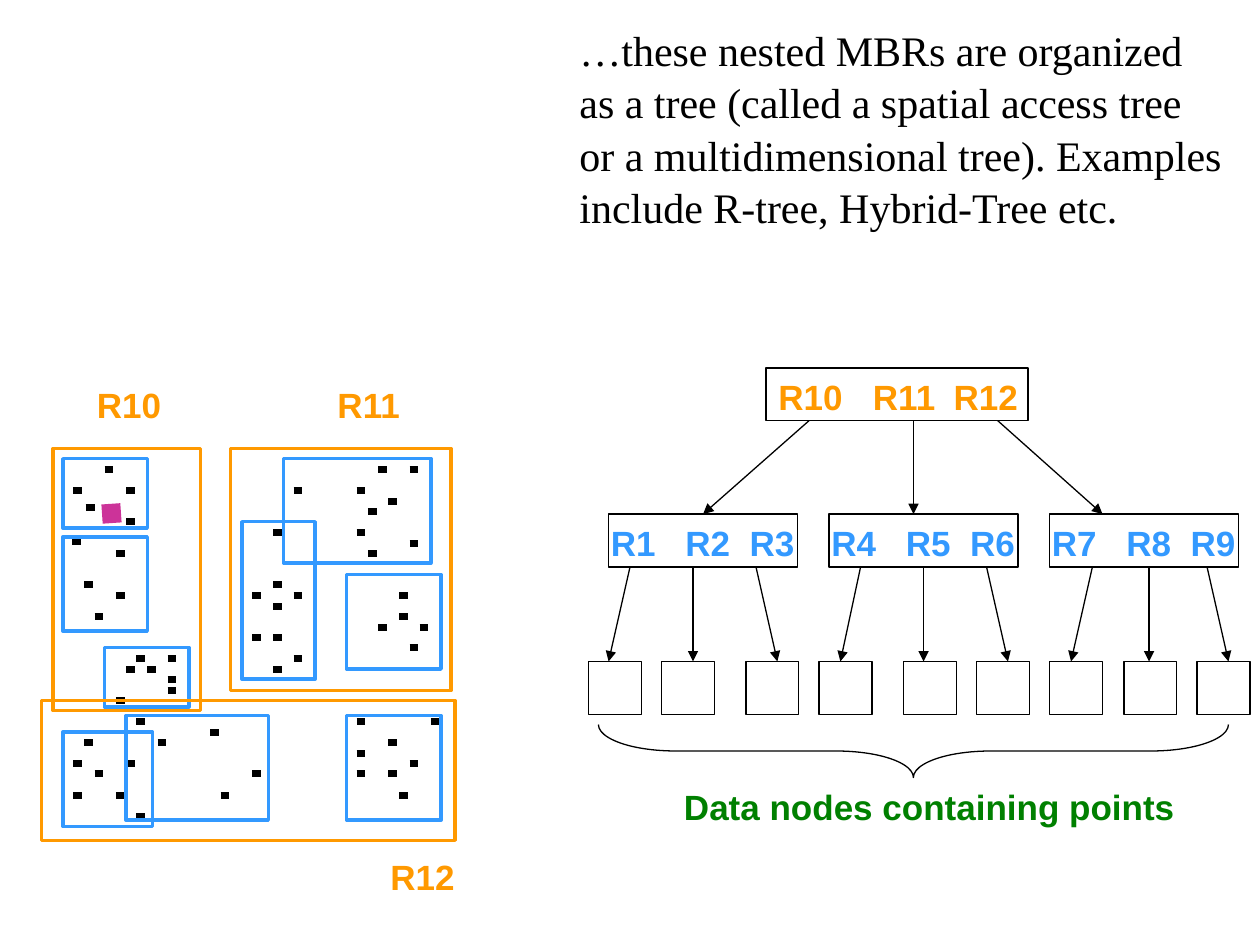
import pptx
import pptx.util
import pptx.dml.color
import pptx.enum.shapes
import pptx.enum.text
import pptx.oxml
import pptx.oxml.ns

PX = 9144  # 100 px to the inch
SHAPES = pptx.enum.shapes.MSO_SHAPE
BLACK, BLUE, ORANGE, GREEN, MAGENTA = "000000", "3399FF", "FF9900", "008000", "CC3399"

STATEMENT = ("…these nested MBRs are organized as a tree (called a spatial access tree "
             "or a multidimensional tree). Examples include R-tree, Hybrid-Tree etc.")
CAPTION = "Data nodes containing points"

# Tree: boxes as left edges, arrows as (start x, end x)
ROOT_NAMES = ["R10", "R11", "R12"]
BRANCH_NAMES = [["R1", "R2", "R3"], ["R4", "R5", "R6"], ["R7", "R8", "R9"]]
BRANCH_LEFT, BRANCH_STEP, BOX_HEIGHT = 483, 175, 42
LEAF_LEFTS = [467, 525, 592, 650, 717, 775, 833, 892, 950]
ROOT_ARROWS = [(642, 558), (725, 725), (792, 875)]
BRANCH_ARROWS = [(500, 483), (550, 550), (600, 617), (683, 667), (733, 733),
                 (783, 800), (867, 850), (912, 912), (958, 975)]
ROOT_TOP, BRANCH_TOP, LEAF_TOP = 292, 408, 525

# Map: inner and outer rectangles (left, top, width, height)
INNER = [(192, 414, 58, 125), (225, 364, 117, 83), (50, 364, 67, 55),
         (50, 426, 67, 75), (50, 581, 71, 75), (100, 568, 113, 83),
         (83, 514, 67, 47), (275, 568, 75, 83), (275, 456, 75, 75)]
OUTER = [(183, 356, 175, 192), (42, 356, 117, 208), (33, 556, 328, 111)]
MAP_LABELS = [("R10", 67, 298), ("R11", 258, 298), ("R12", 300, 673)]

# Data points by row: y -> left ends
POINTS = {
    373: [83, 300, 325], 389: [58, 100, 233, 283], 398: [308], 403: [68],
    406: [292], 414: [100], 423: [217, 283], 430: [57], 431: [325],
    439: [92, 292], 464: [67, 217], 473: [92, 200, 233, 317], 481: [217],
    489: [75, 317], 498: [300, 333], 506: [200, 217], 514: [325],
    523: [108, 133, 233], 531: [100, 117, 217], 539: [133], 548: [133],
    556: [92], 573: [108, 283, 342], 581: [167], 589: [67, 125, 308],
    598: [283], 606: [58, 100, 325], 614: [75, 200, 283, 308],
    631: [58, 92, 175, 317], 648: [108],
}
POINT_LENGTH = 7


def color(value):
    return pptx.dml.color.RGBColor.from_string(value)


def add_outline(parent, kind, place, line_color, points):
    shape = parent.add_shape(kind, *(n * PX for n in place))
    shape.shadow.inherit = False
    shape.fill.background()
    shape.line.color.rgb = color(line_color)
    shape.line.width = pptx.util.Pt(points)
    return shape


def add_line(parent, start, end, line_color, points, arrow=False):
    line = parent.add_connector(pptx.enum.shapes.MSO_CONNECTOR.STRAIGHT,
                                *(n * PX for n in start + end))
    line.line.color.rgb = color(line_color)
    line.line.width = pptx.util.Pt(points)
    properties = line._element.spPr
    if arrow:
        head = pptx.oxml.parse_xml(
            f'<a:tailEnd {pptx.oxml.ns.nsdecls("a")} type="triangle"/>')
        line.line._get_or_add_ln().append(head)
    properties.append(pptx.oxml.parse_xml(
        f'<a:effectLst {pptx.oxml.ns.nsdecls("a")}/>'))


def add_text(parent, text, place, text_color, size=20, font="Arial", bold=True,
             wrap=True, middle=False, tabs=()):
    box = parent.add_textbox(*(n * PX for n in place))
    frame = box.text_frame
    frame.word_wrap = wrap
    if middle:
        frame.vertical_anchor = pptx.enum.text.MSO_ANCHOR.MIDDLE
    para = frame.paragraphs[0]
    para.line_spacing = 1.04
    if tabs:
        stops = "".join(f'<a:tab pos="{n * PX}" algn="l"/>' for n in tabs)
        para._p.get_or_add_pPr().append(pptx.oxml.parse_xml(
            f'<a:tabLst {pptx.oxml.ns.nsdecls("a")}>{stops}</a:tabLst>'))
    span = para.add_run()
    span.text = text
    span.font.name = font
    span.font.size = pptx.util.Pt(size)
    span.font.bold = bold
    span.font.color.rgb = color(text_color)


def add_tree(shapes):
    # Nodes and their names
    add_outline(shapes, SHAPES.RECTANGLE, (608, ROOT_TOP, 208, BOX_HEIGHT), BLACK, 0.75)
    add_text(shapes, "\t".join(ROOT_NAMES), (608, ROOT_TOP, 217, 44), ORANGE,
             tabs=(75, 139))
    for index, names in enumerate(BRANCH_NAMES):
        left = BRANCH_LEFT + index * BRANCH_STEP
        add_outline(shapes, SHAPES.RECTANGLE, (left, BRANCH_TOP, 150, BOX_HEIGHT),
                    BLACK, 0.75)
        add_text(shapes, "\t".join(names), (left - 8, BRANCH_TOP, 175, 44), BLUE,
                 tabs=(59, 110))
    for left in LEAF_LEFTS:
        add_outline(shapes, SHAPES.RECTANGLE, (left, LEAF_TOP, BOX_HEIGHT, BOX_HEIGHT),
                    BLACK, 0.75)

    # Arrows between levels
    for arrows, top, bottom in ((ROOT_ARROWS, ROOT_TOP, BRANCH_TOP),
                                (BRANCH_ARROWS, BRANCH_TOP, LEAF_TOP)):
        for start, end in arrows:
            add_line(shapes, (start, top + BOX_HEIGHT), (end, bottom), BLACK, 0.75, True)

    # Brace under the leaves
    brace = add_outline(shapes, SHAPES.LEFT_BRACE, (704, 346, 42, 500), BLACK, 0.75)
    brace.rotation = 270
    brace.adjustments[0] = 1.46
    add_text(shapes, CAPTION, (533, 617, 442, 44), GREEN)


def add_map(shapes):
    for y, lefts in POINTS.items():
        for x in lefts:
            add_line(shapes, (x, y), (x + POINT_LENGTH, y), BLACK, 4)
    for places, line_color in ((INNER, BLUE), (OUTER, ORANGE)):
        for place in places:
            add_outline(shapes, SHAPES.RECTANGLE, place, line_color, 2)
    for name, left, top in MAP_LABELS:
        add_text(shapes, name, (left, top, 71, 44), ORANGE, wrap=False)
    add_line(shapes, (81, 408), (96, 407), MAGENTA, 11)  # query point


def main():
    deck = pptx.Presentation()
    deck.slide_width, deck.slide_height = 1000 * PX, 750 * PX
    page = deck.slides.add_slide(deck.slide_layouts[6])
    add_tree(page.shapes)
    add_text(page.shapes, STATEMENT, (450, 16, 531, 170), BLACK, size=24,
             font="Times New Roman", bold=False, middle=True)
    add_map(page.shapes.add_group_shape().shapes)
    deck.save("out.pptx")


if __name__ == "__main__":
    main()
